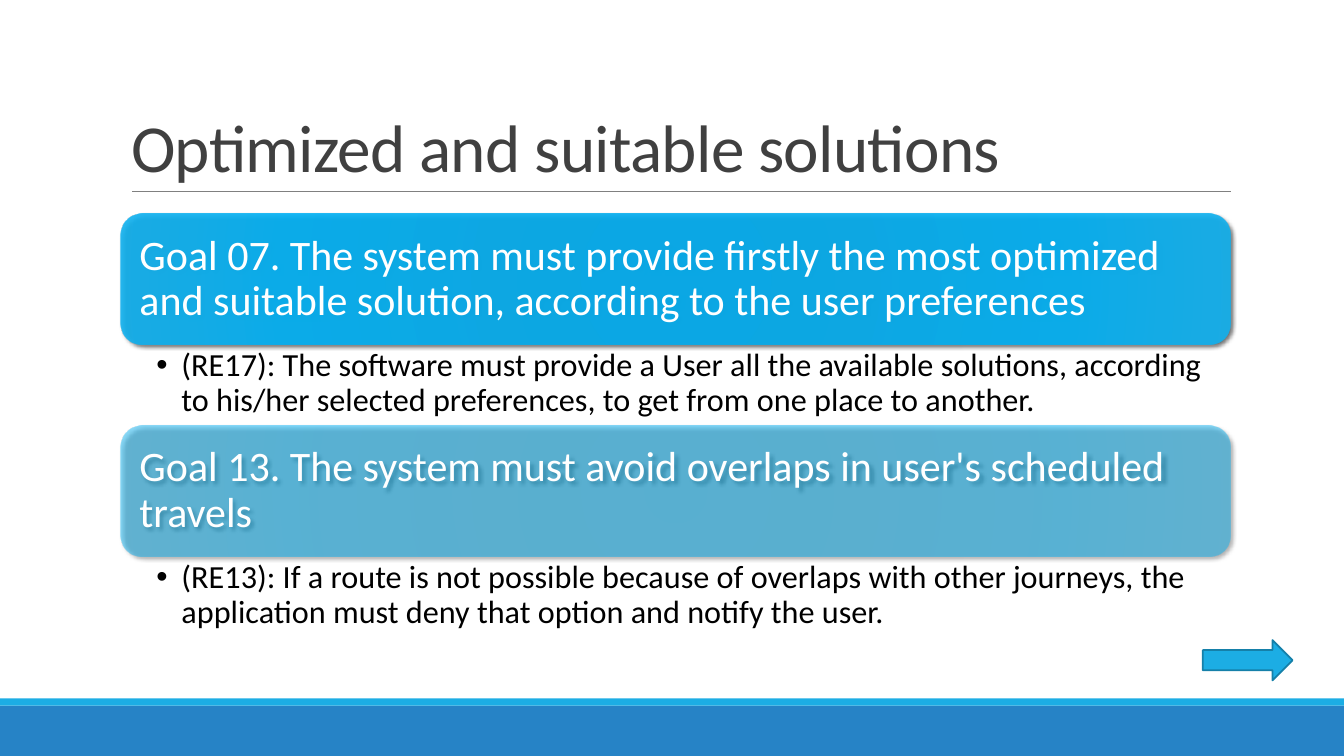
from lxml import etree
from pptx import Presentation
from pptx.dml.color import RGBColor
from pptx.enum.shapes import MSO_CONNECTOR, MSO_SHAPE
from pptx.enum.text import MSO_ANCHOR, MSO_AUTO_SIZE, PP_ALIGN
from pptx.oxml import parse_xml
from pptx.oxml.ns import nsdecls, qn
from pptx.util import Inches, Pt

RECTANGLE, CARD, ARROW = MSO_SHAPE.RECTANGLE, MSO_SHAPE.ROUNDED_RECTANGLE, MSO_SHAPE.RIGHT_ARROW
STRAIGHT = MSO_CONNECTOR.STRAIGHT
TOP, MIDDLE, BOTTOM = MSO_ANCHOR.TOP, MSO_ANCHOR.MIDDLE, MSO_ANCHOR.BOTTOM
LEFT, NO_FIT = PP_ALIGN.LEFT, MSO_AUTO_SIZE.NONE
TWO_CONTENT = 3

TITLE = "Optimized and suitable solutions"
GOALS = [
    {
        "goal": "Goal 07. The system must provide firstly the most optimized "
                "and suitable solution, according to the user preferences",
        "requirement": "(RE17): The software must provide a User all the available solutions, "
                       "according to his/her selected preferences, to get from one place to another.",
        "opacity": 90,
    },
    {
        "goal": "Goal 13. The system must avoid overlaps in user's scheduled travels",
        "requirement": "(RE13): If a route is not possible because of overlaps with other journeys, "
                       "the application must deny that option and notify the user.",
        "opacity": 50,
    },
]

COLORS = {
    "footer": "2683C6", "accent": "1CADE4", "arrow_line": "1580A9", "rule": "808080",
    "title": "404040", "goal": "FFFFFF", "requirement": "000000", "shadow": "000000",
}
CARD_GRADIENT = [(0, "00ADEF"), (34, "03ADEE"), (70, "00B1F5"), (100, "12B1EE")]
FONT = "Calibri"
SLIDE_WIDTH, SLIDE_HEIGHT = 13.33, 7.5
CONTENT_LEFT, CONTENT_WIDTH = 1.2, 11
CARDS_TOP, CARD_HEIGHT, LIST_HEIGHT = 2.12, 1.3, 0.8


def rgb(name):
    return RGBColor.from_string(COLORS[name])


def place(shape, left, top, width, height):
    shape.left, shape.top = Inches(left), Inches(top)
    shape.width, shape.height = Inches(width), Inches(height)


def write(shape, text, size, color, anchor, line_spacing, margins):
    """Fill the shape with one left-aligned paragraph; margins are left, top, right, bottom."""
    frame = shape.text_frame
    frame.text = text
    frame_format = {"word_wrap": True, "auto_size": NO_FIT, "vertical_anchor": anchor}
    for side, margin in zip(("left", "top", "right", "bottom"), margins):
        frame_format[f"margin_{side}"] = Inches(margin)
    para = frame.paragraphs[0]
    span = para.runs[0]
    para_format = {"alignment": LEFT, "line_spacing": line_spacing, "space_before": Pt(0)}
    font_format = {"name": FONT, "size": Pt(size)}
    for target, values in ((frame, frame_format), (para, para_format), (span.font, font_format)):
        for name, value in values.items():
            setattr(target, name, value)
    span.font.color.rgb = rgb(color)
    return para


def add_filled(slide, kind, box, color):
    shape = slide.shapes.add_shape(kind, *map(Inches, box))
    shape.shadow.inherit = False
    shape.fill.solid()
    shape.fill.fore_color.rgb = rgb(color)
    shape.line.fill.background()
    return shape


def style_card(card, opacity):
    """Give the card a translucent radial gradient and a soft shadow."""
    stops = "".join(
        f'<a:gs pos="{position * 1000}"><a:srgbClr val="{color}">'
        f'<a:alpha val="{opacity * 1000}"/></a:srgbClr></a:gs>'
        for position, color in CARD_GRADIENT)
    gradient = parse_xml(
        f'<a:gradFill {nsdecls("a")} rotWithShape="1"><a:gsLst>{stops}</a:gsLst>'
        '<a:path path="circle"><a:fillToRect l="100000" t="100000" r="100000" b="100000"/>'
        '</a:path></a:gradFill>')
    properties = card._element.spPr
    properties.replace(properties.find(qn("a:solidFill")), gradient)
    shadow = parse_xml(
        f'<a:outerShdw {nsdecls("a")} blurRad="{Pt(3)}" dist="{Pt(2)}" dir="2700000" '
        f'algn="ctr" rotWithShape="0"><a:srgbClr val="{COLORS["shadow"]}">'
        '<a:alpha val="60000"/></a:srgbClr></a:outerShdw>')
    properties.find(qn("a:effectLst")).append(shadow)


def add_goal(slide, requirement_list, goal, top):
    card = add_filled(slide, CARD, (CONTENT_LEFT, top, CONTENT_WIDTH, CARD_HEIGHT), "accent")
    style_card(card, goal["opacity"])
    write(card, goal["goal"], 30, "goal", MIDDLE, 0.9, (0.12, 0.12, 0.12, 0.12))

    place(requirement_list, CONTENT_LEFT, top + CARD_HEIGHT, CONTENT_WIDTH, LIST_HEIGHT)
    para = write(requirement_list, goal["requirement"], 23, "requirement", TOP, 0.9,
                 (0.35, 0.04, 0.23, 0.04))
    indent = para._p.get_or_add_pPr()
    indent.set("marL", str(Inches(0.25)))
    indent.set("indent", str(Inches(-0.25)))


def main():
    deck = Presentation()
    deck.slide_width, deck.slide_height = Inches(SLIDE_WIDTH), Inches(SLIDE_HEIGHT)
    slide = deck.slides.add_slide(deck.slide_layouts[TWO_CONTENT])

    add_filled(slide, RECTANGLE, (0, 7, SLIDE_WIDTH, 0.5), "footer")
    add_filled(slide, RECTANGLE, (0, 6.93, SLIDE_WIDTH, 0.07), "accent")
    rule = slide.shapes.add_connector(STRAIGHT, *map(Inches, (1.31, 1.9, 12.21, 1.9)))
    rule.line.color.rgb = rgb("rule")
    rule.line.width = Pt(0.5)
    etree.SubElement(rule._element.spPr, qn("a:effectLst"))

    title = slide.shapes.title
    place(title, CONTENT_LEFT, 0.31, CONTENT_WIDTH, 1.59)
    para = write(title, TITLE, 48, "title", BOTTOM, 0.85, (0.1, 0.05, 0.1, 0.05))
    para.runs[0].font._element.set("spc", "-50")

    requirement_lists = list(slide.placeholders)[1:]
    for index, (requirement_list, goal) in enumerate(zip(requirement_lists, GOALS)):
        top = CARDS_TOP + index * (CARD_HEIGHT + LIST_HEIGHT)
        add_goal(slide, requirement_list, goal, top)

    arrow = add_filled(slide, ARROW, (11.93, 6.35, 0.89, 0.4), "accent")
    arrow.line.color.rgb = rgb("arrow_line")
    arrow.line.width = Pt(1.25)

    deck.save("out.pptx")


if __name__ == "__main__":
    main()
